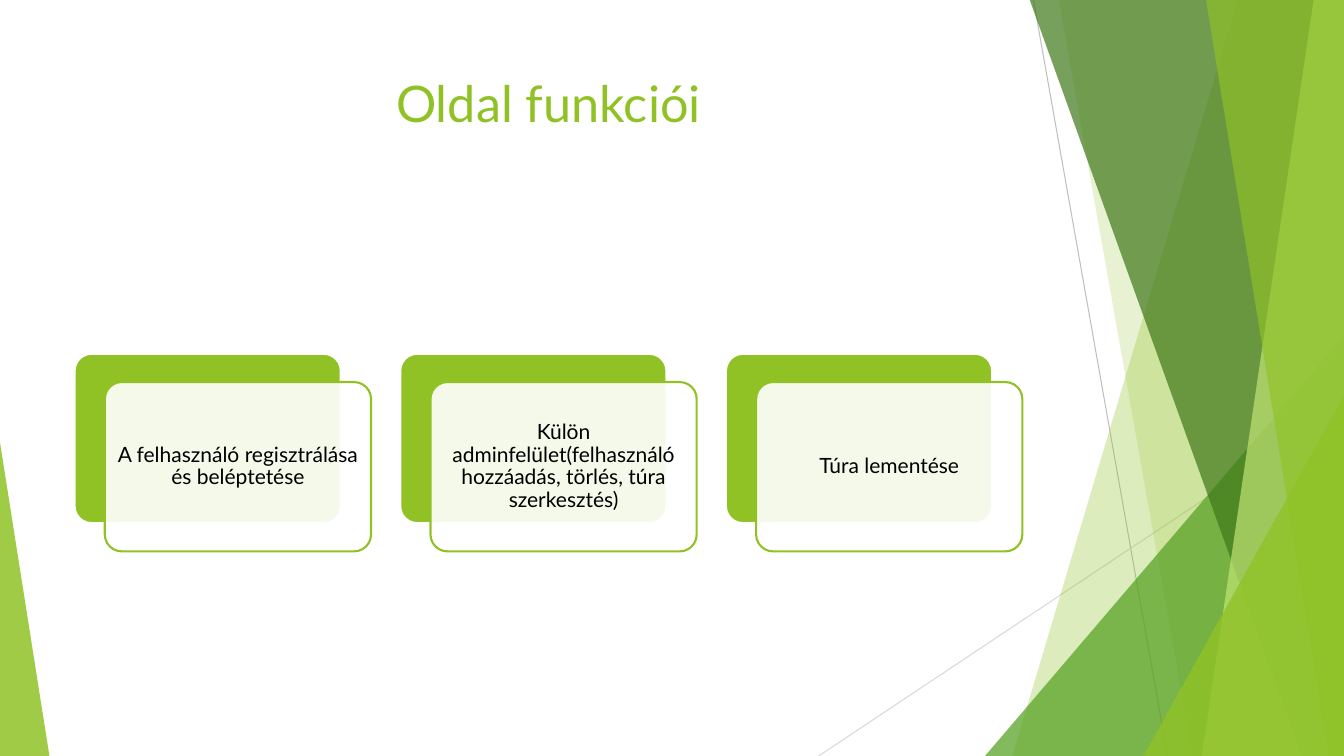
"""Build the slide of page functions: three layered cards beside green facets."""
from dataclasses import dataclass

from lxml.etree import SubElement
from pptx import Presentation
from pptx.dml.color import RGBColor
from pptx.enum.shapes import MSO_CONNECTOR, MSO_SHAPE
from pptx.enum.text import MSO_ANCHOR, PP_ALIGN
from pptx.oxml.ns import qn
from pptx.shapes.autoshape import Shape
from pptx.slide import Slide
from pptx.util import Emu, Pt

PX = 9144
WIDTH, HEIGHT = 1333, 750
FONT = "Lato"
WHITE = RGBColor(0xFF, 0xFF, 0xFF)
BLACK = RGBColor(0x00, 0x00, 0x00)
LIME = RGBColor(0x90, 0xC2, 0x26)
PALE_LIME = RGBColor(0xC0, 0xE4, 0x74)
GREEN = RGBColor(0x54, 0xA0, 0x21)
DARK_GREEN = RGBColor(0x3F, 0x78, 0x19)
GRAY = RGBColor(0xBF, 0xBF, 0xBF)
LIGHT_GRAY = RGBColor(0xD9, 0xD9, 0xD9)


@dataclass(frozen=True)
class Box:
    """A rectangle in px."""
    x: int
    y: int
    w: int
    h: int

    def emu(self) -> tuple[Emu, Emu, Emu, Emu]:
        """Return left, top, width and height in EMU."""
        return px(self.x), px(self.y), px(self.w), px(self.h)


@dataclass(frozen=True)
class Ray:
    """A thin line across the facets."""
    x1: int
    y1: int
    x2: int
    y2: int
    color: RGBColor


@dataclass(frozen=True)
class Band:
    """A full-height facet from a slanted left edge to the slide's right edge."""
    top_x: int
    bottom_x: int
    color: RGBColor
    opacity: int


@dataclass(frozen=True)
class Wedge:
    """A right triangle standing on the slide's bottom edge."""
    box: Box
    apex: int
    color: RGBColor
    opacity: int


RAYS = (
    Ray(1025, 0, 1158, HEIGHT, GRAY),
    Ray(WIDTH, 403, 812, HEIGHT, LIGHT_GRAY),
)
FACETS = (
    Band(1228, 1004, LIME, 30),
    Band(1050, 1183, LIME, 20),
    Wedge(Box(977, 333, 356, 417), 1, GREEN, 72),
    Band(1021, 1291, DARK_GREEN, 70),
    Band(1303, 1192, PALE_LIME, 70),
    Band(1196, 1318, LIME, 65),
    Wedge(Box(1134, 393, 199, 357), 1, LIME, 80),
    Wedge(Box(0, 439, 49, 311), 0, LIME, 85),
)
TITLE = Box(74, 67, 940, 144)
CARDS = (
    "A felhasználó regisztrálása és beléptetése",
    "Külön adminfelület(felhasználó hozzáadás, törlés, túra szerkesztés)",
    "Túra lementése",
)
CARD_X, CARD_Y, CARD_W, CARD_H, CARD_PITCH = 74, 351, 264, 168, 323
FRONT_DX, FRONT_DY = 30, 28
TEXT_INSET = 5


def px(n: int) -> Emu:
    """Turn px into EMU."""
    return Emu(n * PX)


def paint(sp: Shape, color: RGBColor, opacity: int = 100) -> None:
    """Give a shape a flat fill with no shadow."""
    sp.shadow.inherit = False
    sp.fill.solid()
    sp.fill.fore_color.rgb = color
    if opacity < 100:
        clr = sp.element.spPr.find(qn("a:solidFill")).find(qn("a:srgbClr"))
        SubElement(clr, qn("a:alpha")).set("val", str(opacity * 1000))


def add_ray(s: Slide, ray: Ray) -> None:
    """Draw a thin line."""
    cxn = s.shapes.add_connector(
        MSO_CONNECTOR.STRAIGHT, px(ray.x1), px(ray.y1), px(ray.x2), px(ray.y2))
    cxn.line.color.rgb = ray.color
    cxn.line.width = Pt(0.75)
    SubElement(cxn.element.spPr, qn("a:effectLst"))


def add_facet(s: Slide, facet: Band | Wedge) -> None:
    """Draw a translucent facet."""
    if isinstance(facet, Band):
        fb = s.shapes.build_freeform(facet.top_x, -1, scale=float(PX))
        fb.add_line_segments(
            [(WIDTH, -1), (WIDTH, HEIGHT), (facet.bottom_x, HEIGHT)], close=True)
        sp = fb.convert_to_shape()
    else:
        sp = s.shapes.add_shape(MSO_SHAPE.ISOSCELES_TRIANGLE, *facet.box.emu())
        sp.adjustments[0] = facet.apex
    paint(sp, facet.color, facet.opacity)
    sp.line.fill.background()


def add_text(s: Slide, box: Box, text: str, size: int, color: RGBColor) -> Shape:
    """Add a centred, wrapped text box."""
    sp = s.shapes.add_textbox(*box.emu())
    tf = sp.text_frame
    tf.word_wrap = True
    p = tf.paragraphs[0]
    p.text = text
    p.alignment = PP_ALIGN.CENTER
    p.font.name = FONT
    p.font.size = Pt(size)
    p.font.color.rgb = color
    return sp


def add_plate(s: Slide, box: Box, fill: RGBColor, line: RGBColor, opacity: int) -> None:
    """Draw one rounded layer of a card."""
    sp = s.shapes.add_shape(MSO_SHAPE.ROUNDED_RECTANGLE, *box.emu())
    sp.adjustments[0] = 0.1
    paint(sp, fill, opacity)
    sp.line.color.rgb = line
    sp.line.width = Pt(1.5)


def add_card(s: Slide, x: int, text: str) -> None:
    """Draw a green plate, the white plate over it and its text."""
    front = Box(x + FRONT_DX, CARD_Y + FRONT_DY, CARD_W, CARD_H)
    add_plate(s, Box(x, CARD_Y, CARD_W, CARD_H), LIME, WHITE, 100)
    add_plate(s, front, WHITE, LIME, 90)
    inner = Box(front.x + TEXT_INSET, front.y + TEXT_INSET,
                front.w - 2 * TEXT_INSET, front.h - 2 * TEXT_INSET)
    tf = add_text(s, inner, text, 15, BLACK).text_frame
    tf.vertical_anchor = MSO_ANCHOR.MIDDLE
    tf.margin_left = tf.margin_right = tf.margin_top = tf.margin_bottom = px(6)
    tf.paragraphs[0].line_spacing = 0.9


def main() -> None:
    """Build and save the slide."""
    prs = Presentation()
    prs.slide_width, prs.slide_height = px(WIDTH), px(HEIGHT)
    s = prs.slides.add_slide(prs.slide_layouts[6])
    for ray in RAYS:
        add_ray(s, ray)
    for facet in FACETS:
        add_facet(s, facet)
    add_text(s, TITLE, "Oldal funkciói", 36, LIME)
    for i, text in enumerate(CARDS):
        add_card(s, CARD_X + i * CARD_PITCH, text)
    prs.save("out.pptx")


if __name__ == "__main__":
    main()
